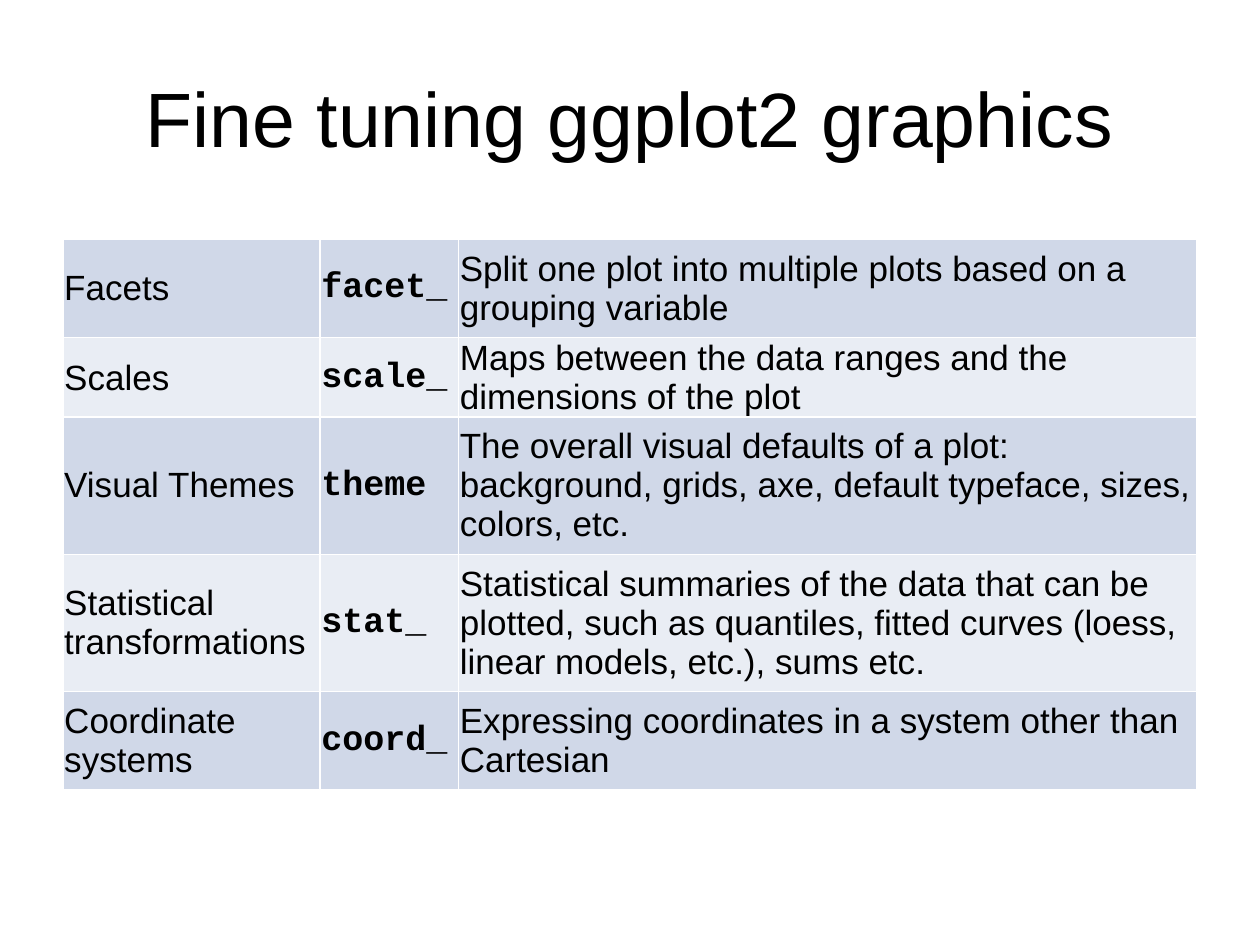
from dataclasses import dataclass

from lxml import etree
from pptx import Presentation
from pptx.dml.color import RGBColor
from pptx.enum import text
from pptx.oxml import ns
from pptx.util import Inches, Pt

BLACK = RGBColor(0x00, 0x00, 0x00)
WHITE = RGBColor(0xFF, 0xFF, 0xFF)
BANDS = (RGBColor(0xD0, 0xD8, 0xE8), RGBColor(0xE9, 0xED, 0xF4))
SANS, MONO = "Arial", "Courier New"
WIDTHS = (2.04, 1.1, 5.86)
HEIGHT = 0.41


@dataclass
class Topic:
    name: str
    code: str
    note: str
    top: float = 0.08
    base: float = 0.08


TOPICS = (
    Topic("Facets", "facet_",
          "Split one plot into multiple plots based on a grouping variable"),
    Topic("Scales", "scale_",
          "Maps between the data ranges and the dimensions of the plot",
          top=0.01, base=0),
    Topic("Visual Themes", "theme",
          "The overall visual defaults of a plot: background, grids, axe, "
          "default typeface, sizes, colors, etc."),
    Topic("Statistical transformations", "stat_",
          "Statistical summaries of the data that can be plotted, such as "
          "quantiles, fitted curves (loess, linear models, etc.), sums etc."),
    Topic("Coordinate systems", "coord_",
          "Expressing coordinates in a system other than Cartesian"),
)


def style(par, size: int, face: str, bold: bool = False) -> None:
    font = par.font
    font.size, font.name, font.bold = Pt(size), face, bold
    font.color.rgb = BLACK


def edge(cell) -> None:
    """Rule all four sides of a cell in white."""
    props = cell._tc.get_or_add_tcPr()
    for side in ("lnL", "lnR", "lnT", "lnB"):
        line = etree.SubElement(props, ns.qn(f"a:{side}"), w=str(Pt(1)))
        fill = etree.SubElement(line, ns.qn("a:solidFill"))
        etree.SubElement(fill, ns.qn("a:srgbClr"), val=str(WHITE))


def draw_cell(cell, words: str, topic: Topic, band: RGBColor, mono: bool) -> None:
    cell.text = words
    cell.vertical_anchor = text.MSO_ANCHOR.MIDDLE
    cell.margin_left = cell.margin_right = Inches(0.01)
    cell.margin_top = Inches(topic.top)
    cell.margin_bottom = Inches(topic.base)
    style(cell.text_frame.paragraphs[0], 20, MONO if mono else SANS, mono)
    edge(cell)
    cell.fill.solid()
    cell.fill.fore_color.rgb = band


def draw_title(slide, words: str) -> None:
    title = slide.shapes.title
    title.left, title.top = Inches(0.5), Inches(0.3)
    title.width, title.height = Inches(9), Inches(1.25)
    title.text_frame.text = words
    title.text_frame.vertical_anchor = text.MSO_ANCHOR.MIDDLE
    par = title.text_frame.paragraphs[0]
    par.alignment = text.PP_ALIGN.CENTER
    style(par, 44, SANS)


def draw_table(slide, topics: tuple[Topic, ...]) -> None:
    frame = slide.shapes.add_table(
        len(topics), len(WIDTHS), Inches(0.5), Inches(1.9),
        Inches(sum(WIDTHS)), Inches(HEIGHT * len(topics)))
    table = frame.table
    table.first_row = table.horz_banding = False
    for col, width in zip(table.columns, WIDTHS):
        col.width = Inches(width)
    for row, topic in enumerate(topics):
        table.rows[row].height = Inches(HEIGHT)
        for col, words in enumerate((topic.name, topic.code, topic.note)):
            draw_cell(table.cell(row, col), words, topic,
                      BANDS[row % 2], mono=col == 1)


def main() -> None:
    deck = Presentation()
    deck.slide_width, deck.slide_height = Inches(10), Inches(7.5)
    slide = deck.slides.add_slide(deck.slide_layouts[5])
    draw_title(slide, "Fine tuning ggplot2 graphics")
    draw_table(slide, TOPICS)
    deck.save("out.pptx")


if __name__ == "__main__":
    main()
